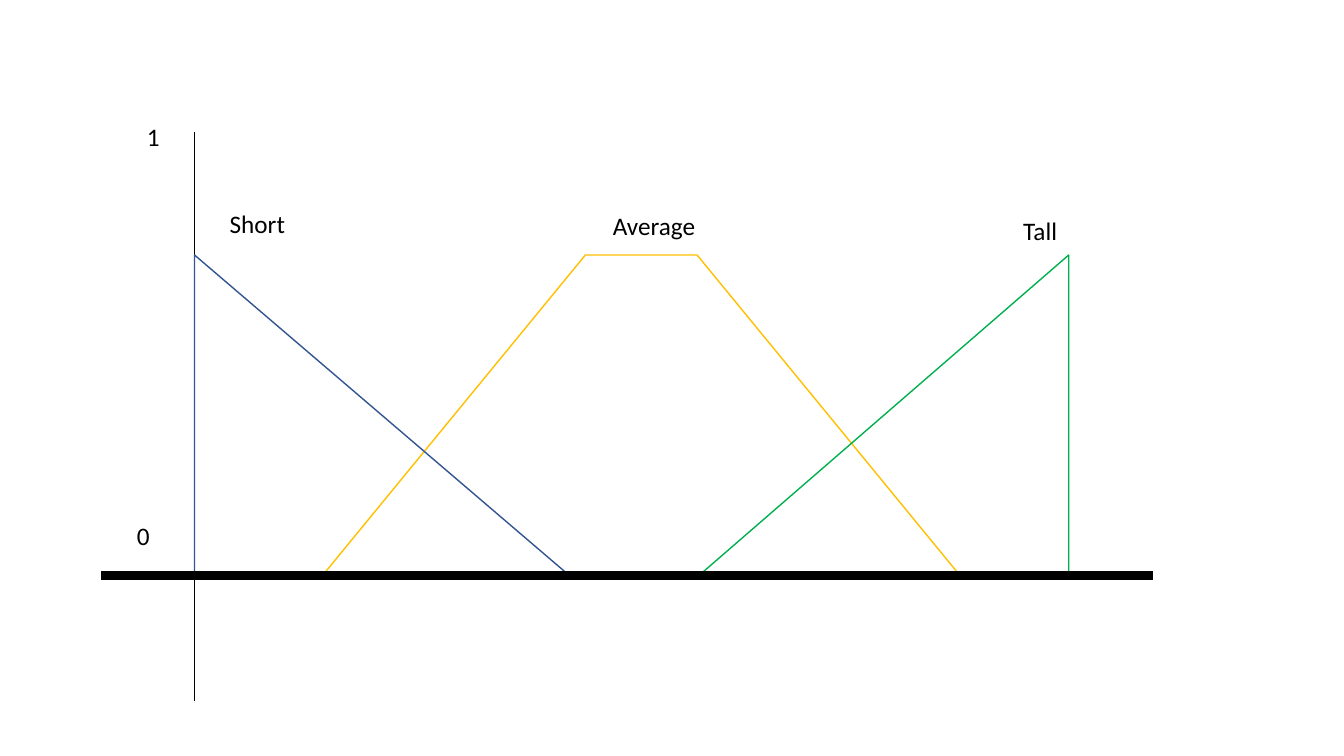
"""Draw fuzzy membership functions for short, average and tall heights."""
from dataclasses import dataclass

from lxml.etree import SubElement
from pptx import Presentation
from pptx.dml.color import RGBColor
from pptx.dml.line import LineFormat
from pptx.enum.shapes import MSO_CONNECTOR, MSO_SHAPE
from pptx.oxml.ns import qn
from pptx.slide import Slide
from pptx.util import Emu, Pt

EMU_PER_PX = 9144
BLACK = "000000"
SET_TOP, SET_HEIGHT = 253, 319
AXIS_X, AXIS_Y = 193, 571
LABEL_HEIGHT = 40


@dataclass(frozen=True)
class Axis:
    start: tuple[int, int]
    end: tuple[int, int]
    weight: float


@dataclass(frozen=True)
class FuzzySet:
    kind: MSO_SHAPE
    left: int
    width: int
    colour: str
    slope: float | None = None
    mirrored: bool = False


@dataclass(frozen=True)
class Label:
    text: str
    left: int
    top: int
    width: int


VERTICAL_AXIS = Axis((AXIS_X, 131), (AXIS_X, 695), 0.5)
HORIZONTAL_AXIS = Axis((100, AXIS_Y), (1144, AXIS_Y), 6)
FUZZY_SETS = (
    FuzzySet(MSO_SHAPE.TRAPEZOID, 319, 634, "FFC000", slope=0.82),
    FuzzySet(MSO_SHAPE.RIGHT_TRIANGLE, AXIS_X, 373, "325491"),
    FuzzySet(MSO_SHAPE.RIGHT_TRIANGLE, 692, 368, "00B050", mirrored=True),
)
LABELS = (
    Label("1", 136, 115, 33),
    Label("0", 126, 511, 33),
    Label("Short", 218, 202, 76),
    Label("Average", 598, 204, 103),
    Label("Tall", 1005, 209, 54),
)


def px(length: int) -> Emu:
    return Emu(length * EMU_PER_PX)


def colour_of(value: str) -> RGBColor:
    return RGBColor.from_string(value)


def style_line(line: LineFormat, colour: str, weight: float) -> None:
    line.color.rgb = colour_of(colour)
    line.width = Pt(weight)


def draw_axis(page: Slide, axis: Axis) -> None:
    ends = [px(value) for value in axis.start + axis.end]
    connector = page.shapes.add_connector(MSO_CONNECTOR.STRAIGHT, *ends)
    style_line(connector.line, BLACK, axis.weight)
    SubElement(connector.element.spPr, qn("a:effectLst"))


def draw_set(page: Slide, fuzzy_set: FuzzySet) -> None:
    outline = page.shapes.add_shape(
        fuzzy_set.kind, px(fuzzy_set.left), px(SET_TOP), px(fuzzy_set.width), px(SET_HEIGHT)
    )
    outline.shadow.inherit = False
    outline.fill.background()
    style_line(outline.line, fuzzy_set.colour, 1)
    if fuzzy_set.slope is not None:
        outline.adjustments[0] = fuzzy_set.slope
    if fuzzy_set.mirrored:
        outline.element.spPr.find(qn("a:xfrm")).set("flipH", "1")


def draw_label(page: Slide, label: Label) -> None:
    box = page.shapes.add_textbox(
        px(label.left), px(label.top), px(label.width), px(LABEL_HEIGHT)
    )
    box.text_frame.word_wrap = False
    para = box.text_frame.paragraphs[0]
    para.text = label.text
    para.font.name = "Calibri"
    para.font.size = Pt(18)
    para.font.color.rgb = colour_of(BLACK)


def main() -> None:
    deck = Presentation()
    deck.slide_width, deck.slide_height = px(1333), px(750)
    page = deck.slides.add_slide(deck.slide_layouts[6])
    draw_axis(page, VERTICAL_AXIS)
    for fuzzy_set in FUZZY_SETS:
        draw_set(page, fuzzy_set)
    draw_axis(page, HORIZONTAL_AXIS)
    for label in LABELS:
        draw_label(page, label)
    deck.save("out.pptx")


if __name__ == "__main__":
    main()
